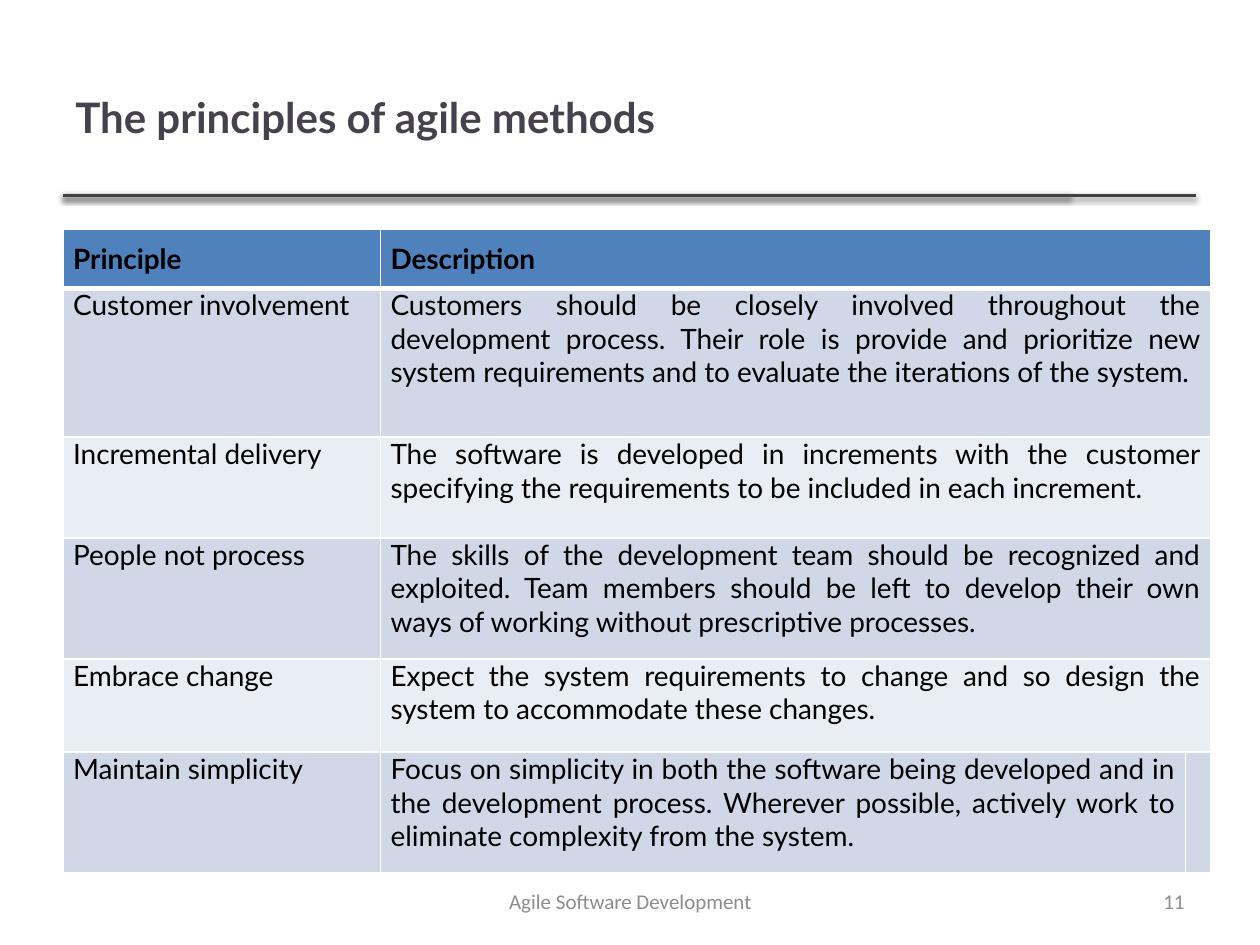
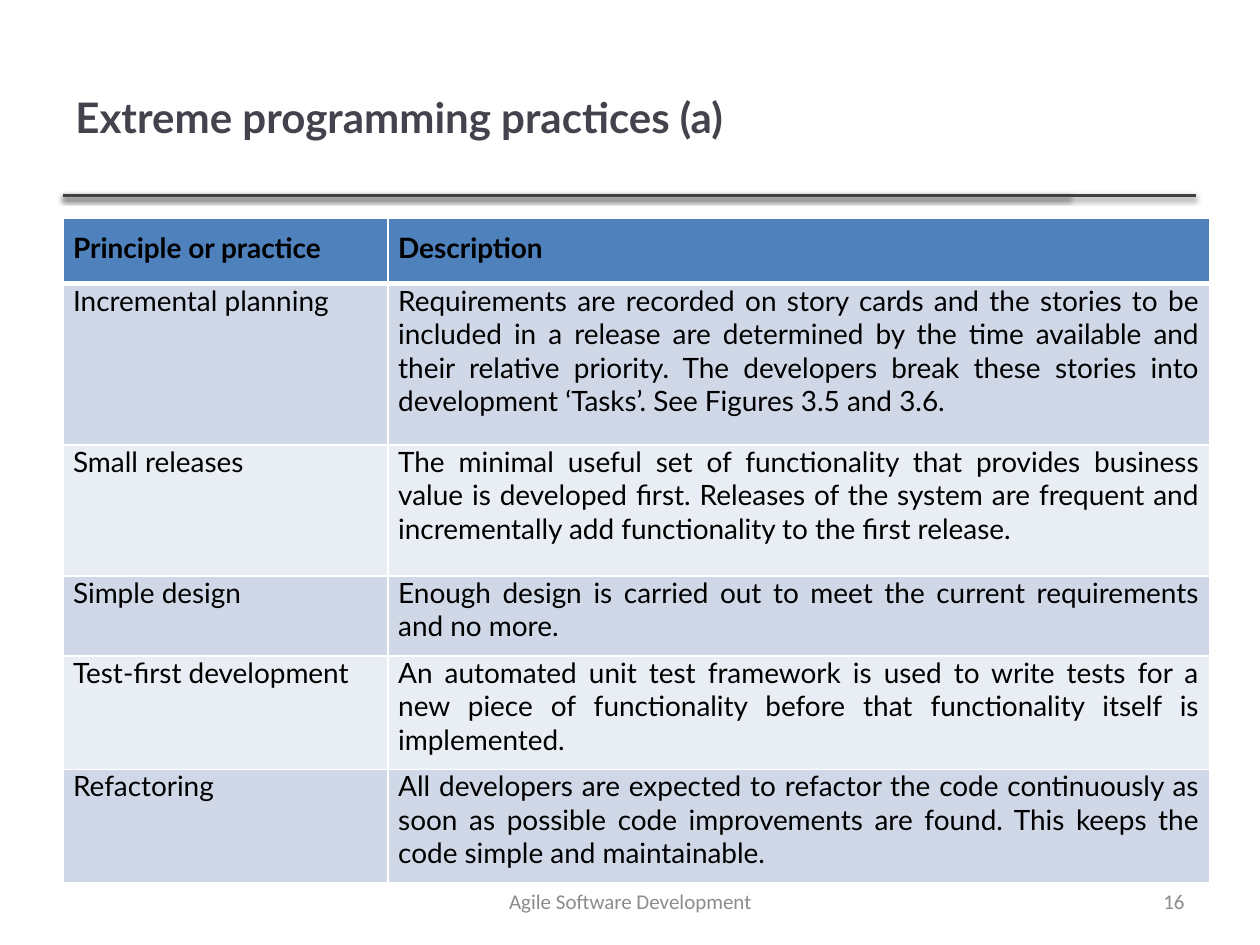
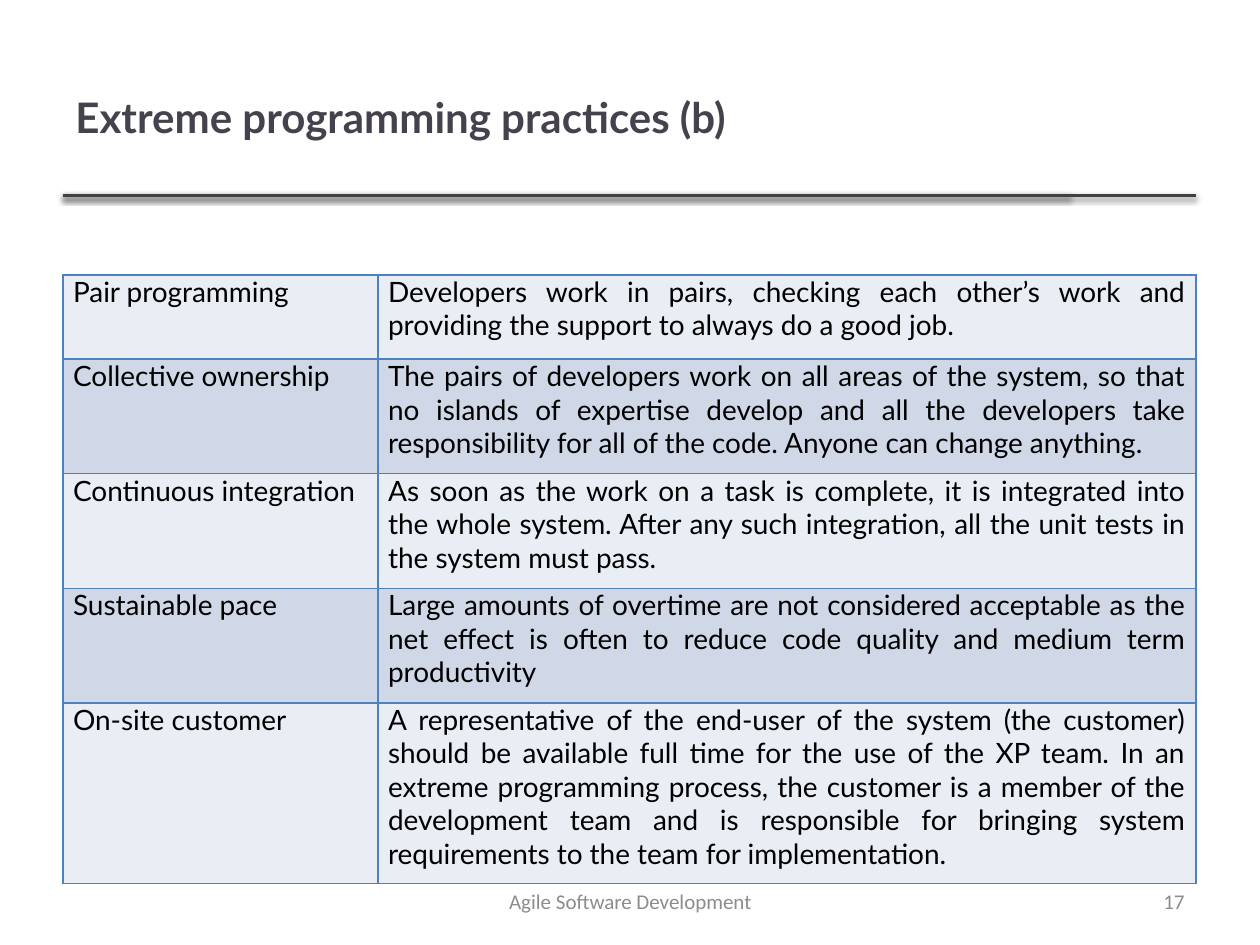
import pptx
import pptx.dml.color
import pptx.enum.shapes
import pptx.enum.text
import pptx.oxml
import pptx.oxml.ns
import pptx.util

Pt = pptx.util.Pt
RGBColor = pptx.dml.color.RGBColor
ALIGN = pptx.enum.text.PP_ALIGN
ANCHOR = pptx.enum.text.MSO_ANCHOR

BLACK = RGBColor(0x00, 0x00, 0x00)
WHITE = RGBColor(0xFF, 0xFF, 0xFF)
TITLE_INK = RGBColor(0x46, 0x42, 0x4D)
FOOTER_GREY = RGBColor(0x8C, 0x8C, 0x8C)
RULE_GREY = RGBColor(0x40, 0x40, 0x40)
HEADER_BLUE = RGBColor(0x4F, 0x81, 0xBD)
DEEP_BAND = RGBColor(0xD0, 0xD8, 0xE8)
PALE_BAND = RGBColor(0xE9, 0xED, 0xF4)

TITLE_FONT = dict(name="Lato", size=Pt(24), bold=True, color=TITLE_INK)
FOOTER_FONT = dict(name="Calibri", size=Pt(12), bold=False, color=FOOTER_GREY)
HEADER_FONT = dict(name="Lato", size=Pt(16), bold=True, color=BLACK)
BODY_FONT = dict(HEADER_FONT, bold=False)

LEFT = 36
RULE_TOP = 111.6
RULE_ENDS = (611.3, 683.3)
TITLE_BOX = (LEFT, 21.6, 574.6, 90)
FOOTER_BOX = (246.2, 500.4, 228.2, 28.8)
NUMBER_BOX = (516.2, 500.4, 167.8, 28.8)
FOOTER = "Agile Software Development"

SLIDES = [
    dict(
        title="The principles of agile methods", number=11,
        header=("Principle", "Description"),
        top=131.2, columns=(181.4, 460.1, 10.1), border=WHITE,
        heights=(31.7, 85, 57.6, 69.1, 53.3, 69.1),
        practices=[
            ("Customer involvement",
             "Customers should be closely involved throughout the development process. "
             "Their role is provide and prioritize new system requirements and to "
             "evaluate the iterations of the system."),
            ("Incremental delivery",
             "The software is developed in increments with the customer specifying the "
             "requirements to be included in each increment."),
            ("People not process",
             "The skills of the development team should be recognized and exploited. "
             "Team members should be left to develop their own ways of working without "
             "prescriptive processes."),
            ("Embrace change",
             "Expect the system requirements to change and so design the system to "
             "accommodate these changes."),
            ("Maintain simplicity",
             "Focus on simplicity in both the software being developed and in the "
             "development process. Wherever possible, actively work to eliminate "
             "complexity from the system."),
        ],
    ),
    dict(
        title="Extreme programming practices (a)", number=16,
        header=("Principle or practice", "Description"),
        top=124.7, columns=(185.8, 469.4), border=WHITE,
        heights=(37.4, 92.2, 74.9, 41, 58.3, 58.3),
        practices=[
            ("Incremental planning",
             "Requirements are recorded on story cards and the stories to be included "
             "in a release are determined by the time available and their relative "
             "priority. The developers break these stories into development ‘Tasks’. "
             "See Figures 3.5 and 3.6."),
            ("Small releases",
             "The minimal useful set of functionality that provides business value is "
             "developed first. Releases of the system are frequent and incrementally "
             "add functionality to the first release."),
            ("Simple design",
             "Enough design is carried out to meet the current requirements and no more."),
            ("Test-first development",
             "An automated unit test framework is used to write tests for a new piece "
             "of functionality before that functionality itself is implemented."),
            ("Refactoring",
             "All developers are expected to refactor the code continuously as soon as "
             "possible code improvements are found. This keeps the code simple and "
             "maintainable."),
        ],
    ),
    dict(
        title="Extreme programming practices (b)", number=17,
        header=None,
        top=157, columns=(180, 467.3), border=HEADER_BLUE,
        heights=(48.2, 65.5, 65.5, 65.5, 100.8),
        practices=[
            ("Pair programming",
             "Developers work in pairs, checking each other’s work and providing the "
             "support to always do a good job."),
            ("Collective ownership",
             "The pairs of developers work on all areas of the system, so that no "
             "islands of expertise develop and all the developers take responsibility "
             "for all of the code. Anyone can change anything."),
            ("Continuous integration",
             "As soon as the work on a task is complete, it is integrated into the "
             "whole system. After any such integration, all the unit tests in the "
             "system must pass."),
            ("Sustainable pace",
             "Large amounts of overtime are not considered acceptable as the net effect "
             "is often to reduce code quality and medium term productivity"),
            ("On-site customer",
             "A representative of the end-user of the system (the customer) should be "
             "available full time for the use of the XP team. In an extreme programming "
             "process, the customer is a member of the development team and is "
             "responsible for bringing system requirements to the team for "
             "implementation."),
        ],
    ),
]

NAMESPACE = pptx.oxml.ns.nsdecls("a")
RULE_SHADOW = (
    f'<a:effectLst {NAMESPACE}><a:outerShdw blurRad="{Pt(3.1)}" dist="{Pt(1.6)}" '
    'dir="5400000" rotWithShape="0"><a:srgbClr val="000000"><a:alpha val="38000"/>'
    '</a:srgbClr></a:outerShdw></a:effectLst>'
)


def write(frame, text, font, align):
    paragraph = frame.paragraphs[0]
    paragraph.alignment = align
    run = paragraph.add_run()
    run.text = text
    for attribute, value in font.items():
        if attribute == "color":
            run.font.color.rgb = value
        else:
            setattr(run.font, attribute, value)


def add_text(slide, box, text, font, align):
    frame = slide.shapes.add_textbox(*map(Pt, box)).text_frame
    frame.word_wrap = True
    frame.vertical_anchor = ANCHOR.MIDDLE
    write(frame, text, font, align)


def add_rule(slide, end):
    rule = slide.shapes.add_connector(
        pptx.enum.shapes.MSO_CONNECTOR.STRAIGHT,
        Pt(LEFT), Pt(RULE_TOP), Pt(end), Pt(RULE_TOP))
    rule.line.color.rgb = RULE_GREY
    rule.line.width = Pt(2)
    rule._element.spPr.append(pptx.oxml.parse_xml(RULE_SHADOW))


def add_borders(cell, color, top, bottom):
    properties = cell._tc.get_or_add_tcPr()
    for side, width in dict(L=1, R=1, T=top, B=bottom).items():
        properties.append(pptx.oxml.parse_xml(
            f'<a:ln{side} {NAMESPACE} w="{Pt(width)}"><a:solidFill>'
            f'<a:srgbClr val="{color}"/></a:solidFill></a:ln{side}>'))


def add_practices(slide, content):
    header, columns, heights = content["header"], content["columns"], content["heights"]
    rows = ([header] if header else []) + content["practices"]
    table = slide.shapes.add_table(
        len(rows), len(columns), Pt(LEFT), Pt(content["top"]),
        Pt(sum(columns)), Pt(sum(heights))).table
    for column, width in zip(table.columns, columns):
        column.width = Pt(width)
    for index, texts in enumerate(rows):
        table.rows[index].height = Pt(heights[index])
        is_header = header is not None and index == 0
        below_header = header is not None and index == 1
        band = HEADER_BLUE if is_header else DEEP_BAND if index % 2 else PALE_BAND
        margins = dict(margin_left=Pt(5.8), margin_right=Pt(5.8),
                       margin_top=Pt(7.2 if is_header else 0), margin_bottom=Pt(7.2))
        for position in range(len(columns)):
            cell = table.cell(index, position)
            for attribute, value in margins.items():
                setattr(cell, attribute, value)
            add_borders(cell, content["border"],
                        3 if below_header else 1, 3 if is_header else 1)
            cell.fill.solid()
            cell.fill.fore_color.rgb = band
            if position < len(texts):
                write(cell.text_frame, texts[position],
                      HEADER_FONT if is_header else BODY_FONT, ALIGN.JUSTIFY)
        if len(columns) > len(texts) and index < len(rows) - 1:
            table.cell(index, 1).merge(table.cell(index, len(columns) - 1))


def main():
    deck = pptx.Presentation()
    deck.slide_width, deck.slide_height = Pt(720), Pt(540)
    for content in SLIDES:
        slide = deck.slides.add_slide(deck.slide_layouts[6])
        for end in RULE_ENDS:
            add_rule(slide, end)
        add_text(slide, TITLE_BOX, content["title"], TITLE_FONT, ALIGN.LEFT)
        add_text(slide, FOOTER_BOX, FOOTER, FOOTER_FONT, ALIGN.CENTER)
        add_text(slide, NUMBER_BOX, str(content["number"]), FOOTER_FONT, ALIGN.RIGHT)
        add_practices(slide, content)
    deck.save("out.pptx")


if __name__ == "__main__":
    main()
